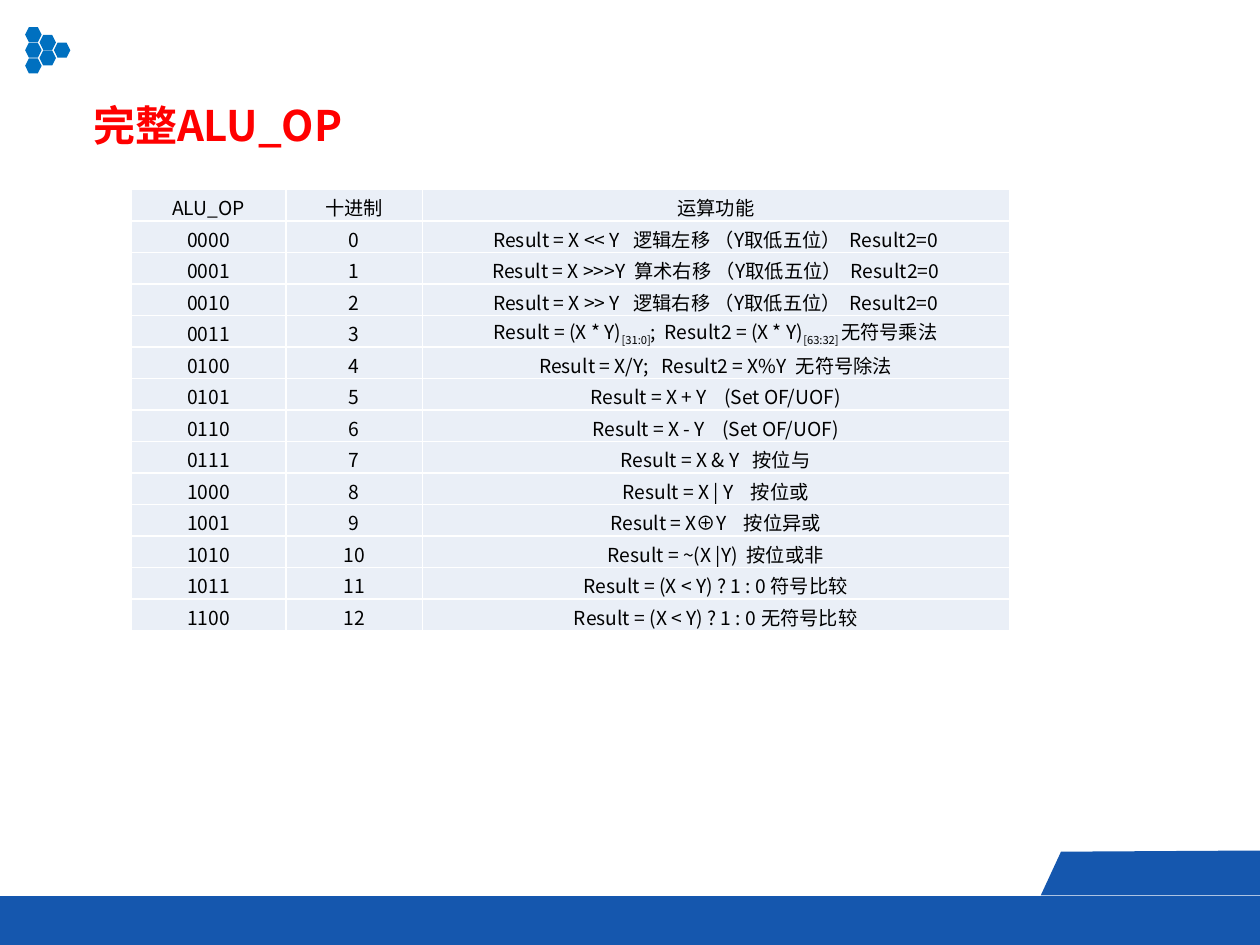
from lxml import etree
from pptx import Presentation
from pptx.dml.color import RGBColor
from pptx.enum import shapes, text
from pptx.oxml.ns import qn
from pptx.util import Pt

# Content
FONT = "Noto Sans CJK SC"
TITLE = "完整ALU_OP"
HEADER = ["ALU_OP", "十进制", "运算功能"]
# One function per operation code, counted from 0; a tuple alternates normal and subscript text
FUNCTIONS = [
    "Result = X << Y   逻辑左移 （Y取低五位）  Result2=0",
    "Result = X >>>Y  算术右移 （Y取低五位）  Result2=0",
    "Result = X >> Y   逻辑右移 （Y取低五位）  Result2=0",
    ("Result = (X * Y)", "[31:0]", ";  Result2 = (X * Y)", "[63:32] ", "无符号乘法"),
    "Result = X/Y;   Result2 = X%Y  无符号除法",
    "Result = X + Y    (Set OF/UOF)",
    "Result = X - Y    (Set OF/UOF)",
    "Result = X & Y   按位与",
    "Result = X | Y    按位或",
    "Result = X⊕Y    按位异或",
    "Result = ~(X |Y)  按位或非",
    "Result = (X < Y) ? 1 : 0 符号比较",
    "Result = (X < Y) ? 1 : 0 无符号比较",
]
COLUMNS = [88.5, 77.8, 335.5]
ROW = 18
BLUE = "1557AE"
HEXAGONS = [(0, 0), (0, 1), (0, 2), (1, 0.5), (1, 1.5), (2, 1)]  # column, row


def rgb(value):
    return RGBColor.from_string(value)


def paint(sp, color):
    sp.shadow.inherit = False
    sp.fill.solid()
    sp.fill.fore_color.rgb = rgb(color)
    sp.line.fill.background()


def write(p, content, size=11, color="000000", bold=False, align=text.PP_ALIGN.CENTER):
    p.alignment = align
    parts = (content,) if isinstance(content, str) else content
    for i, part in enumerate(parts):
        r = p.add_run()
        r.text = part
        r.font.size, r.font.bold, r.font.name = Pt(size), bold, FONT
        r.font.color.rgb = rgb(color)
        rPr = r._r.get_or_add_rPr()
        etree.SubElement(rPr, qn("a:ea")).set("typeface", FONT)
        if i % 2:
            rPr.set("baseline", "-25000")


def add_borders(cell, color="FFFFFF", width=1):
    tcPr = cell._tc.get_or_add_tcPr()
    for side in ("lnL", "lnR", "lnT", "lnB"):
        ln = etree.SubElement(tcPr, qn("a:" + side), w=str(Pt(width)))
        fill = etree.SubElement(ln, qn("a:solidFill"))
        etree.SubElement(fill, qn("a:srgbClr"), val=color)


prs = Presentation()
prs.slide_width, prs.slide_height = Pt(720), Pt(540)
s = prs.slides.add_slide(prs.slide_layouts[5])

# Hexagon cluster
for col, row in HEXAGONS:
    sp = s.shapes.add_shape(shapes.MSO_SHAPE.HEXAGON, Pt(14.4 + 8.2 * col),
                            Pt(15.5 + 8.9 * row), Pt(9.4), Pt(8.6))
    paint(sp, "0070C0")

# Footer bar and its raised tab
bar = s.shapes.add_shape(shapes.MSO_SHAPE.FLOWCHART_PROCESS, 0, Pt(512), Pt(720), Pt(28))
paint(bar, BLUE)
builder = s.shapes.build_freeform(Pt(720), Pt(511.7))
builder.add_line_segments([(Pt(x), Pt(y)) for x, y in
                           [(720, 486), (606.3, 486.7), (594.7, 511.7)]], close=True)
paint(builder.convert_to_shape(), BLUE)

# Title
title = s.shapes.title
title.left, title.top, title.width, title.height = Pt(46), Pt(53.3), Pt(637), Pt(36)
tf = title.text_frame
tf.word_wrap = True
tf.vertical_anchor = text.MSO_ANCHOR.MIDDLE
write(tf.paragraphs[0], TITLE, size=24, color="FF0000", bold=True, align=text.PP_ALIGN.LEFT)

# Operation table
rows = [HEADER] + [[f"{i:04b}", str(i), f] for i, f in enumerate(FUNCTIONS)]
table = s.shapes.add_table(len(rows), len(COLUMNS), Pt(75), Pt(108.3),
                           Pt(sum(COLUMNS)), Pt(ROW * len(rows))).table
table.first_row = table.horz_banding = False
for column, width in zip(table.columns, COLUMNS):
    column.width = Pt(width)
for i, row in enumerate(rows):
    table.rows[i].height = Pt(ROW)
    for j, content in enumerate(row):
        cell = table.cell(i, j)
        cell.margin_left = cell.margin_right = cell.margin_top = Pt(0.7)
        cell.margin_bottom = 0
        cell.vertical_anchor = text.MSO_ANCHOR.BOTTOM
        add_borders(cell)
        cell.fill.solid()
        cell.fill.fore_color.rgb = rgb("EAEFF7")
        write(cell.text_frame.paragraphs[0], content)

prs.save("out.pptx")
